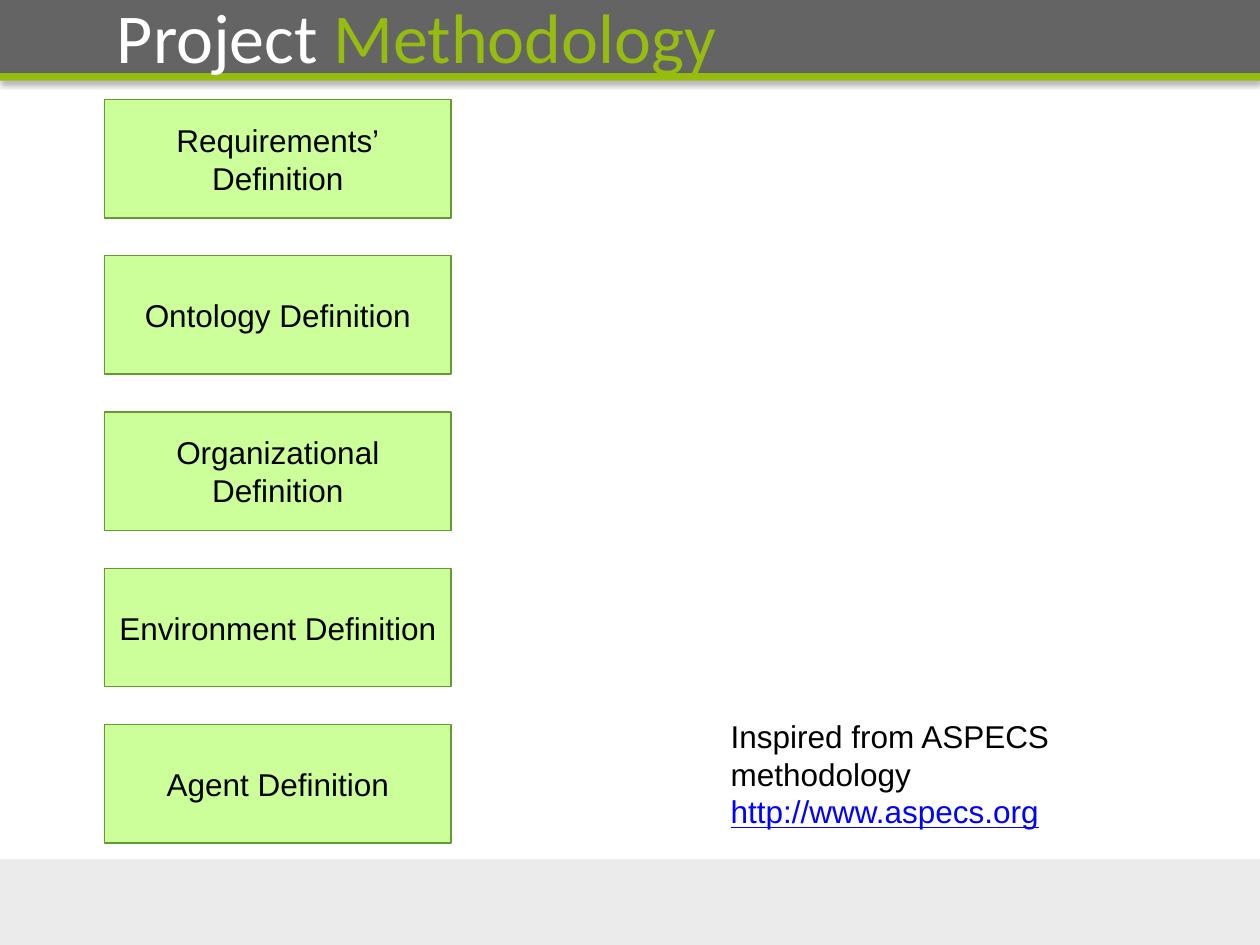
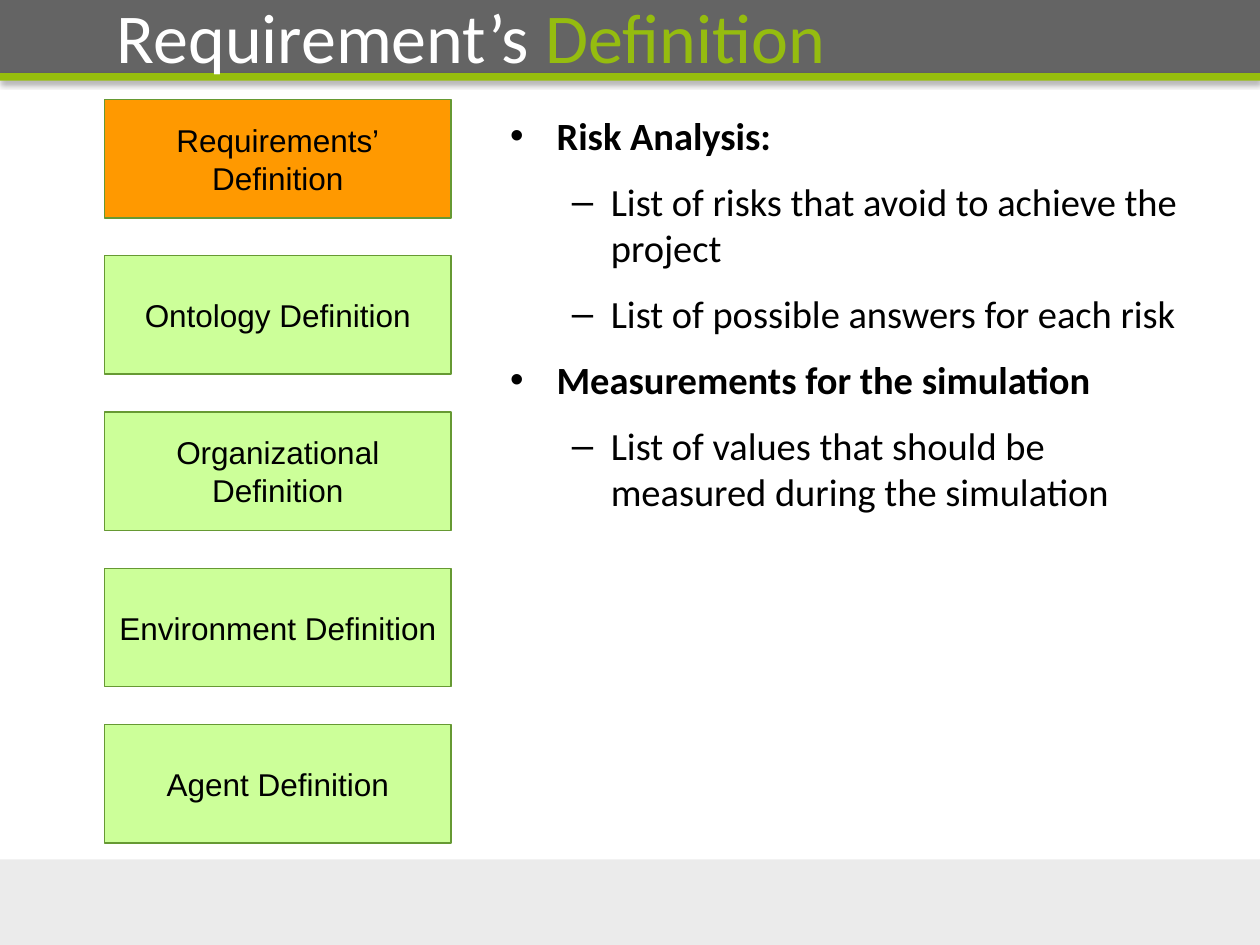
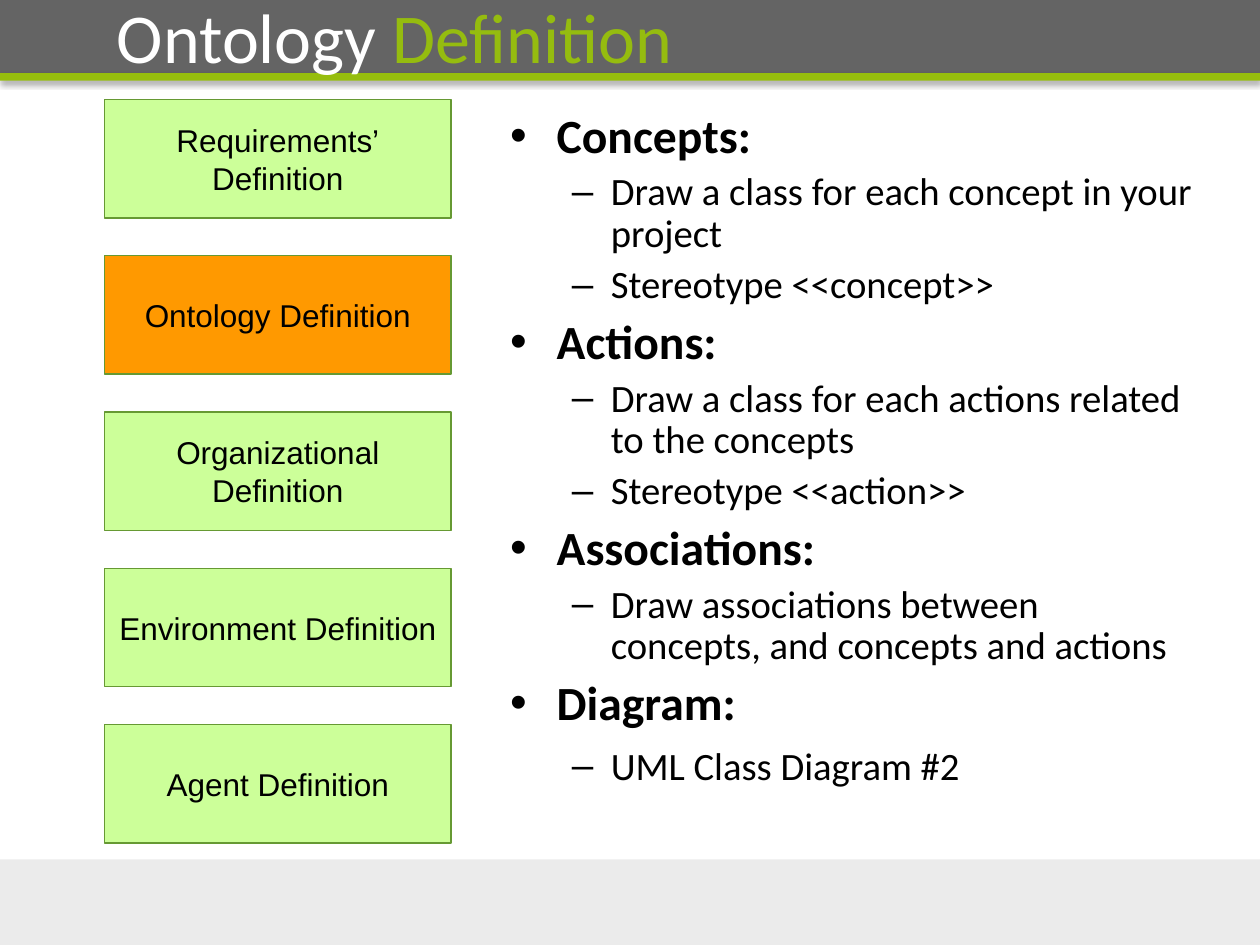
from lxml import etree
from pptx import Presentation
from pptx.dml.color import RGBColor
from pptx.enum.shapes import MSO_SHAPE as Shape
from pptx.enum.text import MSO_ANCHOR as Anchor, PP_ALIGN as Align
from pptx.oxml import parse_xml
from pptx.oxml.ns import nsdecls, qn
from pptx.util import Inches, Pt

HUE = {
    "band": "646464",
    "rule": "96BD0D",
    "foot": "D9D9D9",
    "white": "FFFFFF",
    "lime": "95BC0F",
    "step": "CCFF99",
    "now": "FF9900",
    "edge": "669933",
    "ink": "000000",
    "link": "0000FF",
}
STEPS = [
    "Requirements’\nDefinition",
    "Ontology Definition",
    "Organizational\nDefinition",
    "Environment Definition",
    "Agent Definition",
]
RISKS = [
    (0, "Risk Analysis:"),
    (1, "List of risks that avoid to achieve the project"),
    (1, "List of possible answers for each risk"),
    (0, "Measurements for the simulation"),
    (1, "List of values that should be measured during the simulation"),
]
TERMS = [
    (0, "Concepts:"),
    (1, "Draw a class for each concept in your project"),
    (1, "Stereotype <<concept>>"),
    (0, "Actions:"),
    (1, "Draw a class for each actions related to the concepts"),
    (1, "Stereotype <<action>>"),
    (0, "Associations:"),
    (1, "Draw associations between concepts, and concepts and actions"),
    (0, "Diagram:"),
    (1, "UML Class Diagram #2"),
]
LOOSE = {"sizes": (22, 22), "gaps": (11.3, 11.3), "pitch": 1.0}
TIGHT = {"sizes": (27.2, 22.1), "gaps": (6.4, 5.2), "pitch": 0.9}
LEVELS = [(0.38, -0.37, "•"), (0.81, -0.31, "–")]
SLIDES = [
    ("Project ", "Methodology", None, [], LOOSE),
    ("Requirement’s ", "Definition", 0, RISKS, LOOSE),
    ("Ontology ", "Definition", 1, TERMS, TIGHT),
]


def add_rect(slide, left, top, width, height, fill):
    rect = slide.shapes.add_shape(
        Shape.RECTANGLE, Inches(left), Inches(top), Inches(width), Inches(height)
    )
    rect.shadow.inherit = False
    rect.fill.solid()
    rect.fill.fore_color.rgb = RGBColor.from_string(HUE[fill])
    rect.line.fill.background()
    return rect


def set_font(font, name, size, color):
    font.name = name
    font.size = Pt(size)
    font.color.rgb = RGBColor.from_string(HUE[color])


deck = Presentation()
deck.slide_width = Inches(10)
deck.slide_height = Inches(7.5)

for lead, topic, active, items, style in SLIDES:
    slide = deck.slides.add_slide(deck.slide_layouts[6])

    add_rect(slide, 0, 0, 10, 0.59, "band")
    rule = add_rect(slide, 0, 0.58, 10, 0.06, "rule")
    glow = rule._element.spPr.find(qn("a:effectLst"))
    glow.append(parse_xml(
        f'<a:outerShdw {nsdecls("a")} blurRad="{Pt(3.1)}" dist="{Pt(1.8)}" '
        f'dir="5400000" rotWithShape="0"><a:srgbClr val="{HUE["ink"]}">'
        '<a:alpha val="35000"/></a:srgbClr></a:outerShdw>'
    ))
    foot = add_rect(slide, 0, 6.82, 10, 0.68, "foot")
    tint = foot._element.spPr.find(qn("a:solidFill"))[0]
    etree.SubElement(tint, qn("a:alpha"), val="51000")

    title = slide.shapes.add_textbox(Inches(0.83), Inches(0.05), Inches(8.78), Inches(0.47))
    frame = title.text_frame
    frame.word_wrap = True
    frame.vertical_anchor = Anchor.MIDDLE
    para = frame.paragraphs[0]
    set_font(para.font, "Calibri", 40, "white")
    for text, color in ((lead, "white"), (topic, "lime")):
        run = para.add_run()
        run.text = text
        run.font.color.rgb = RGBColor.from_string(HUE[color])

    for row, label in enumerate(STEPS):
        fill = "now" if row == active else "step"
        step = add_rect(slide, 0.83, 0.79 + 1.24 * row, 2.75, 0.94, fill)
        step.line.color.rgb = RGBColor.from_string(HUE["edge"])
        step.line.width = Pt(0.75)
        frame = step.text_frame
        frame.word_wrap = False
        frame.vertical_anchor = Anchor.MIDDLE
        frame.text = label
        for para in frame.paragraphs:
            para.alignment = Align.CENTER
            set_font(para.font, "Arial", 18, "ink")

    if items:
        body = slide.shapes.add_textbox(Inches(3.94), Inches(0.84), Inches(5.63), Inches(5.83))
        frame = body.text_frame
        frame.word_wrap = True
        frame.text = "\n".join(text for level, text in items)
        for para, (level, text) in zip(frame.paragraphs, items):
            margin, indent, mark = LEVELS[level]
            para.level = level
            props = para._p.get_or_add_pPr()
            props.set("marL", str(Inches(margin)))
            props.set("indent", str(Inches(indent)))
            tone = etree.SubElement(props, qn("a:buClr"))
            etree.SubElement(tone, qn("a:srgbClr"), val=HUE["ink"])
            etree.SubElement(props, qn("a:buFont"), typeface="Arial")
            etree.SubElement(props, qn("a:buChar"), char=mark)
            para.line_spacing = style["pitch"]
            para.space_before = Pt(style["gaps"][level])
            set_font(para.font, "Calibri", style["sizes"][level], "ink")
            para.font.bold = level == 0
        if style is TIGHT:
            para.line_spacing = 0.8
            para.space_before = Pt(11.3)
    else:
        note = slide.shapes.add_textbox(Inches(5.7), Inches(5.64), Inches(4.22), Inches(1.02))
        frame = note.text_frame
        frame.word_wrap = True
        frame.text = "Inspired from ASPECS methodology\nhttp://www.aspecs.org"
        for para, color in zip(frame.paragraphs, ("ink", "link")):
            set_font(para.font, "Arial", 18, color)
        para.font.underline = True

deck.save("out.pptx")
